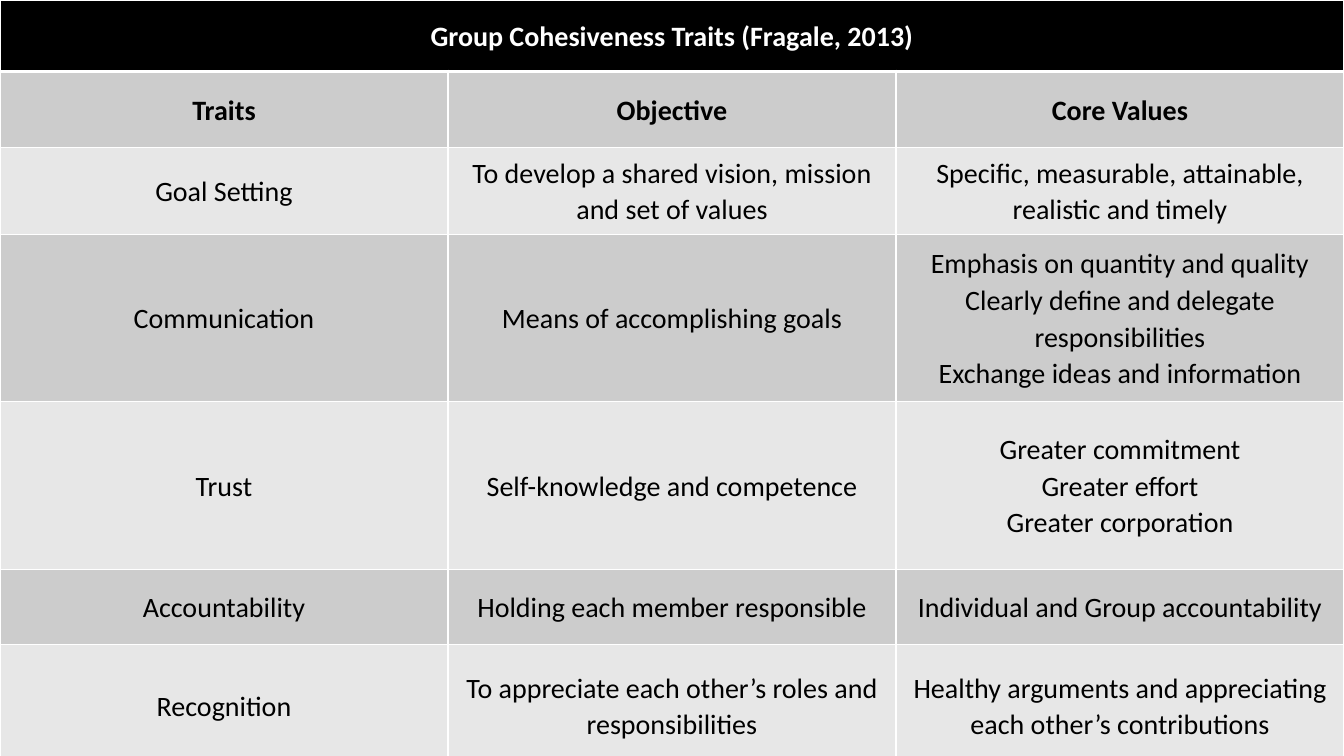
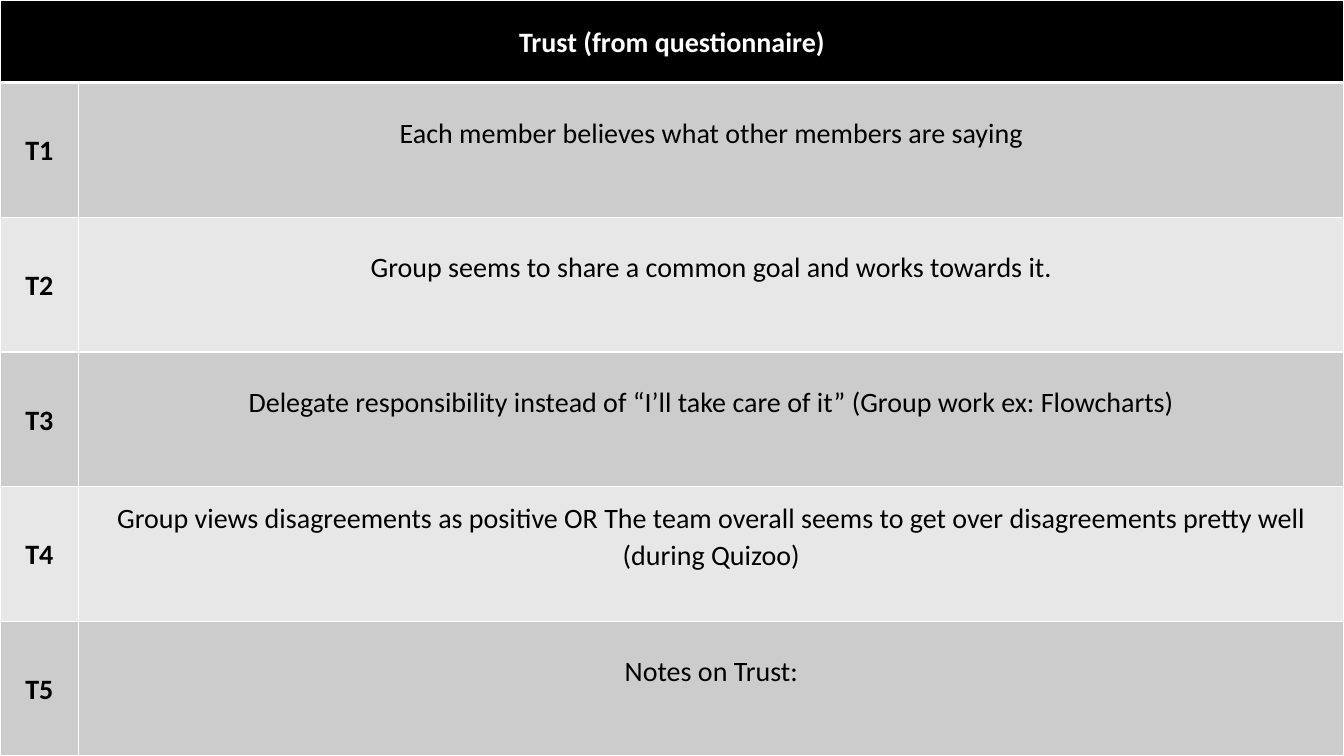
from lxml import etree
from pptx import Presentation
from pptx import util as u
from pptx.dml.color import RGBColor
from pptx.enum import text
from pptx.oxml import ns

WIDE, HIGH = 13.33, 7.5
BLACK, WHITE = "000000", "FFFFFF"
BANDS = "CCCCCC", "E7E7E7"
INSET = 0.07


def hue(code):
    return RGBColor.from_string(code)


def write(frame, words, color=BLACK, bold=False, size=20, font="Calibri"):
    for i, line in enumerate(words.split("\n")):
        para = frame.add_paragraph() if i else frame.paragraphs[0]
        para.alignment = text.PP_ALIGN.CENTER
        para.line_spacing = 1.07
        run = para.add_run()
        run.text = line
        run.font.name, run.font.size, run.font.bold = font, u.Pt(size), bold
        run.font.color.rgb = hue(color)


class Deck:
    def __init__(self):
        self.prs = Presentation()
        self.prs.slide_width = u.Inches(WIDE)
        self.prs.slide_height = u.Inches(HIGH)

    def page(self):
        self.slide = self.prs.slides.add_slide(self.prs.slide_layouts[6])
        fill = self.slide.background.fill
        fill.solid()
        fill.fore_color.rgb = hue(BLACK)

    def edge(self, cell, side, width):
        props = cell._tc.get_or_add_tcPr()
        line = etree.SubElement(props, ns.qn("a:ln" + side), w=str(u.Pt(width)))
        fill = etree.SubElement(line, ns.qn("a:solidFill"))
        etree.SubElement(fill, ns.qn("a:srgbClr"), val=WHITE)

    def cell(self, cell, row, words, bold, base):
        for side in "LRTB":
            thick = (row, side) in ((0, "B"), (1, "T"))
            self.edge(cell, side, 3 if thick else 1)
        cell.fill.solid()
        cell.fill.fore_color.rgb = hue(BANDS[(row - 1) % 2] if row else BLACK)
        cell.vertical_anchor = text.MSO_ANCHOR.MIDDLE
        cell.margin_left = cell.margin_right = cell.margin_top = u.Inches(INSET)
        cell.margin_bottom = u.Inches(base)
        if words:
            write(cell.text_frame, words, WHITE if row == 0 else BLACK, bold)

    def table(self, title, rows, wide, high, strong, base=INSET):
        grid = self.slide.shapes.add_table(
            len(high), len(wide), 0, 0, u.Inches(sum(wide)), u.Inches(sum(high))
        ).table
        grid.first_row = grid.horz_banding = False
        for col, width in zip(grid.columns, wide):
            col.width = u.Inches(width)
        for row, height in zip(grid.rows, high):
            row.height = u.Inches(height)
        head = [title] + [""] * (len(wide) - 1)
        for r, line in enumerate([head] + rows):
            for c, words in enumerate(line):
                bold = r == 0 or strong(r, c)
                low = INSET if bold else base
                self.cell(grid.cell(r, c), r, words, bold, low)
        grid.cell(0, 0).merge(grid.cell(0, len(wide) - 1))


def main():
    deck = Deck()

    deck.page()
    traits = [
        ["Traits", "Objective", "Core Values"],
        ["Goal Setting", "To develop a shared vision, mission and set of values",
         "Specific, measurable, attainable, realistic and timely"],
        ["Communication", "Means of accomplishing goals",
         "Emphasis on quantity and quality\n"
         "Clearly define and delegate responsibilities\n"
         "Exchange ideas and information"],
        ["Trust", "Self-knowledge and competence",
         "Greater commitment\nGreater effort\nGreater corporation"],
        ["Accountability", "Holding each member responsible",
         "Individual and Group accountability"],
        ["Recognition", "To appreciate each other’s roles and responsibilities",
         "Healthy arguments and appreciating each other’s contributions"],
    ]
    deck.table("Group Cohesiveness Traits (Fragale, 2013)", traits,
               [WIDE / 3] * 3, [0.71, 0.75, 0.75, 1.66, 1.66, 0.75, 1.21],
               lambda r, c: r == 1)

    deck.page()
    trust = [
        "Each member believes what other members are saying",
        "Group seems to share a common goal and works towards it.",
        "Delegate responsibility instead of “I’ll take care of it” "
        "(Group work ex: Flowcharts)",
        "Group views disagreements as positive OR The team overall seems "
        "to get over disagreements pretty well (during Quizoo)",
        "Notes on Trust:",
    ]
    rows = [[f"T{n}", words] for n, words in enumerate(trust, 1)]
    top, code = 0.82, 0.78
    deck.table("Trust (from questionnaire)", rows, [code, WIDE - code],
               [top] + [(HIGH - top) / len(rows)] * len(rows),
               lambda r, c: c == 0, base=0.42)

    deck.prs.save("out.pptx")


if __name__ == "__main__":
    main()
